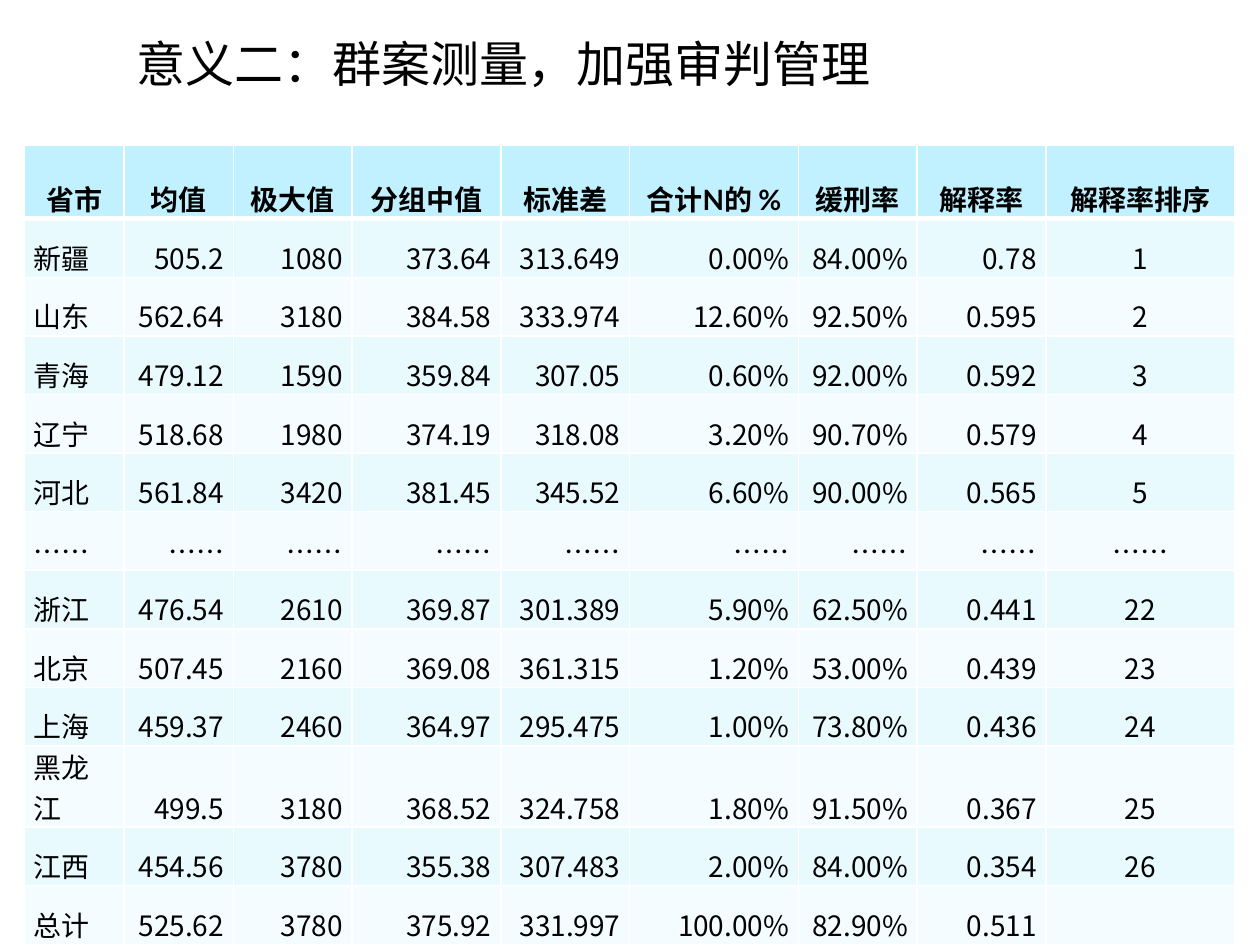
from pptx import Presentation
from pptx.dml.color import RGBColor
from pptx.enum.text import MSO_ANCHOR, PP_ALIGN
from pptx.oxml.ns import qn
from pptx.util import Pt
from lxml.etree import SubElement

HUES = {"ink": "000000", "line": "FFFFFF", "head": "C1F1FF", "odd": "E9FAFF", "even": "F4FCFF"}
HAN = "Noto Sans CJK SC"
WIDTHS = [56.9, 62.5, 67.9, 85, 73.6, 96.4, 67.9, 73.6, 107.8]
HEAD = ["省市", "均值", "极大值", "分组中值", "标准差", "合计N的 %", "缓刑率", "解释率", "解释率排序"]
ROWS = [
    ["新疆", "505.2", "1080", "373.64", "313.649", "0.00%", "84.00%", "0.78", "1"],
    ["山东", "562.64", "3180", "384.58", "333.974", "12.60%", "92.50%", "0.595", "2"],
    ["青海", "479.12", "1590", "359.84", "307.05", "0.60%", "92.00%", "0.592", "3"],
    ["辽宁", "518.68", "1980", "374.19", "318.08", "3.20%", "90.70%", "0.579", "4"],
    ["河北", "561.84", "3420", "381.45", "345.52", "6.60%", "90.00%", "0.565", "5"],
    ["……"] * len(HEAD),
    ["浙江", "476.54", "2610", "369.87", "301.389", "5.90%", "62.50%", "0.441", "22"],
    ["北京", "507.45", "2160", "369.08", "361.315", "1.20%", "53.00%", "0.439", "23"],
    ["上海", "459.37", "2460", "364.97", "295.475", "1.00%", "73.80%", "0.436", "24"],
    ["黑龙江", "499.5", "3180", "368.52", "324.758", "1.80%", "91.50%", "0.367", "25"],
    ["江西", "454.56", "3780", "355.38", "307.483", "2.00%", "84.00%", "0.354", "26"],
    ["总计", "525.62", "3780", "375.92", "331.997", "100.00%", "82.90%", "0.511", ""],
]


def write(frame, text, size, face, align, bold=False):
    frame.text = text
    para = frame.paragraphs[0]
    para.alignment = align
    for run in para.runs:
        font = run.font
        font.size, font.name, font.bold = Pt(size), face, bold
        font.color.rgb = RGBColor.from_string(HUES["ink"])
        SubElement(run._r.get_or_add_rPr(), qn("a:ea"), typeface=HAN)


def edge(cell, base):
    props = cell._tc.get_or_add_tcPr()
    for side, width in (("L", 1), ("R", 1), ("T", 1), ("B", base)):
        line = SubElement(props, qn("a:ln" + side), w=str(Pt(width)))
        fill = SubElement(line, qn("a:solidFill"))
        SubElement(fill, qn("a:srgbClr"), val=HUES["line"])


def style(cell, hue, base):
    edge(cell, base)
    cell.fill.solid()
    cell.fill.fore_color.rgb = RGBColor.from_string(HUES[hue])
    cell.vertical_anchor = MSO_ANCHOR.BOTTOM
    cell.margin_left = cell.margin_right = Pt(5.4)
    cell.margin_top = cell.margin_bottom = 0


def add_title(slide, left, top, width, height):
    frame = slide.shapes.add_textbox(Pt(left), Pt(top), Pt(width), Pt(height)).text_frame
    frame.word_wrap = True
    frame.vertical_anchor = MSO_ANCHOR.MIDDLE
    frame.margin_left = frame.margin_right = frame.margin_top = frame.margin_bottom = 0
    write(frame, "意义二：群案测量，加强审判管理", 28, "Lato", PP_ALIGN.CENTER)


def add_grid(slide, left, top, first, step, tall):
    highs = [first] + [tall if len(row[0]) > 2 else step for row in ROWS]
    grid = slide.shapes.add_table(len(highs), len(HEAD), Pt(left), Pt(top),
                                  Pt(sum(WIDTHS)), Pt(sum(highs))).table
    for col, width in zip(grid.columns, WIDTHS):
        col.width = Pt(width)
    for y, (texts, high) in enumerate(zip([HEAD] + ROWS, highs)):
        top_row = y == 0
        grid.rows[y].height = Pt(high)
        hue = "head" if top_row else "odd" if y % 2 else "even"
        for x, text in enumerate(texts):
            cell = grid.cell(y, x)
            style(cell, hue, 3 if top_row else 1)
            if top_row or x == len(HEAD) - 1:
                align = PP_ALIGN.CENTER
            else:
                align = PP_ALIGN.RIGHT if x else PP_ALIGN.LEFT
            if top_row:
                face = "Lato"
            else:
                face = HAN if x or text == "……" else "Calibri"
            write(cell.text_frame, text, 16, face, align, top_row)


def main():
    deck = Presentation()
    deck.slide_width, deck.slide_height = Pt(720), Pt(540)
    slide = deck.slides.add_slide(deck.slide_layouts[6])
    add_title(slide, 5.5, 16.5, 564.5, 39)
    add_grid(slide, 14, 83, 42, 33.5, 46.4)
    deck.save("out.pptx")


if __name__ == "__main__":
    main()
